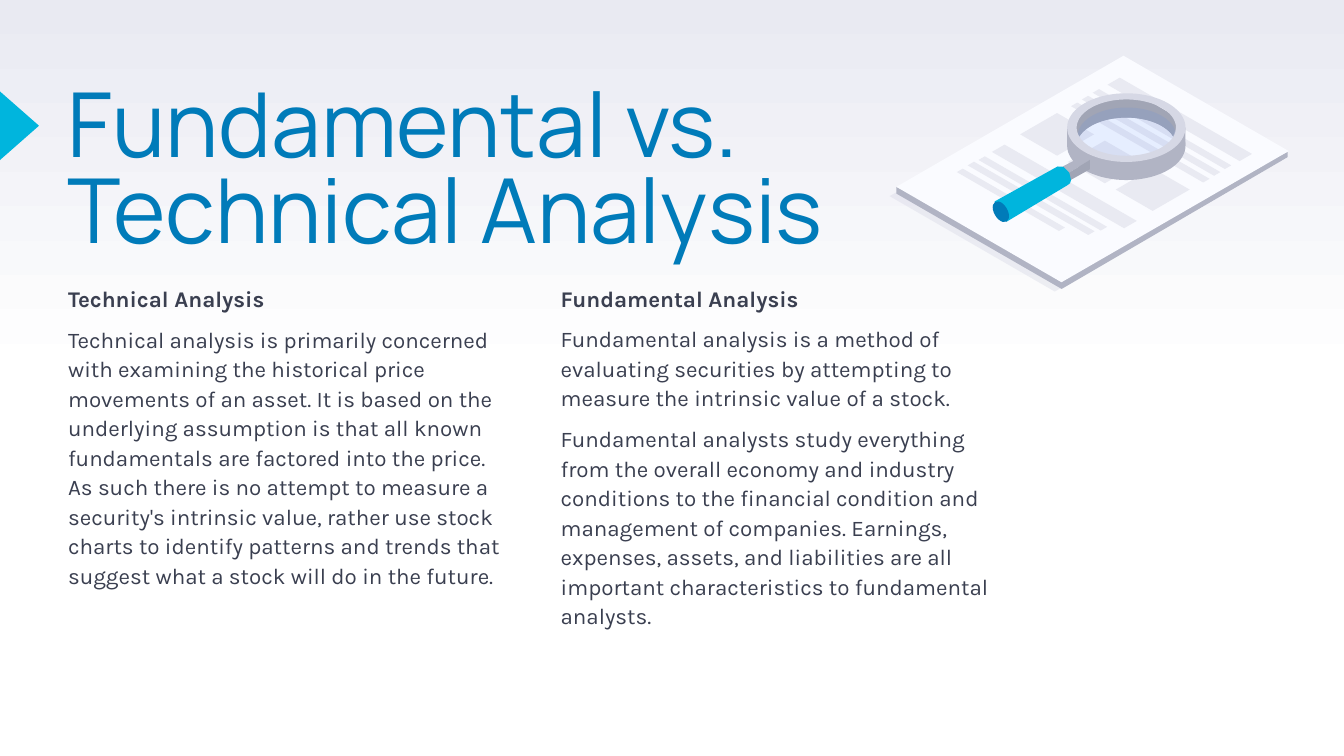
from copy import deepcopy
from dataclasses import dataclass
from math import cos, radians, sin, sqrt
from typing import Optional

from pptx import Presentation
from pptx.dml.color import RGBColor as RGB
from pptx.enum.shapes import MSO_SHAPE as Preset
from pptx.enum.text import MSO_ANCHOR as Anchor, MSO_AUTO_SIZE as AutoSize
from pptx.oxml.ns import qn
from pptx.util import Pt

Point = tuple[float, float]


@dataclass(frozen=True)
class Theme:
    title_font: str = "Manrope"
    body_font: str = "Karla"
    title_size: float = 48
    body_size: float = 12
    blue: str = "007BB9"
    cyan: str = "00B5DD"
    ink: str = "3A3F50"
    white: str = "FFFFFF"
    paper: str = "FAFBFF"
    mist: str = "E9EAF2"
    silver: str = "D6D8E5"
    grey: str = "B1B4C4"
    steel: str = "A1A5B5"
    glass: str = "3E7EFF"
    black: str = "000000"


@dataclass(frozen=True)
class IsoBlock:
    """Parallelogram from its left corner, with horizontal reach of both sides."""
    x: float
    y: float
    along: float
    across: float

    def corners(self) -> list[Point]:
        slope = 1 / sqrt(3)
        return [(self.x, self.y),
                (self.x + self.across, self.y - self.across * slope),
                (self.x + self.across + self.along,
                 self.y + (self.along - self.across) * slope),
                (self.x + self.along, self.y + self.along * slope)]


@dataclass(frozen=True)
class Ellipse:
    x: float
    y: float
    rx: float
    ry: float

    def arc(self, start: int = 0, end: int = 360) -> list[Point]:
        step = 5 if end > start else -5
        return [(self.x + self.rx * cos(radians(a)), self.y + self.ry * sin(radians(a)))
                for a in range(start, end + step, step)]


@dataclass(frozen=True)
class Column:
    left: float
    height: float
    heading: str
    paragraphs: tuple[str, ...]


THEME = Theme()
prs = Presentation()
prs.slide_width, prs.slide_height = Pt(720), Pt(405)
slide = prs.slides.add_slide(prs.slide_layouts[6])


def paint(shape, color: str, alpha: Optional[int] = None) -> None:
    shape.shadow.inherit = False
    shape.fill.solid()
    shape.fill.fore_color.rgb = RGB.from_string(color)
    shape.line.fill.background()
    if alpha is not None:
        tint = shape.fill._xPr.find(qn("a:solidFill"))[0]
        tint.makeelement(qn("a:alpha"), {})
        tint.append(tint.makeelement(qn("a:alpha"), {"val": str(alpha * 1000)}))


def draw_outline(color: str, *contours: list[Point], alpha: Optional[int] = None) -> None:
    grain = 100  # local units per point
    scaled = [[(x * grain, y * grain) for x, y in contour] for contour in contours]
    builder = slide.shapes.build_freeform(*scaled[0][0], scale=Pt(1) / grain)
    builder.add_line_segments(scaled[0][1:], close=True)
    for contour in scaled[1:]:
        builder.move_to(*contour[0])
        builder.add_line_segments(contour[1:], close=True)
    paint(builder.convert_to_shape(), color, alpha)


def draw_preset(preset, box: tuple[float, ...], color: str,
                rotation: float = 0, alpha: Optional[int] = None) -> None:
    shape = slide.shapes.add_shape(preset, *map(Pt, box))
    shape.rotation = rotation
    paint(shape, color, alpha)


def add_text(box: tuple[float, ...], paragraphs: list[tuple[str, Optional[bool]]],
             font_format: dict, color: str, paragraph_format: dict) -> None:
    frame = slide.shapes.add_textbox(*map(Pt, box)).text_frame
    frame_format = dict(word_wrap=True, auto_size=AutoSize.NONE, vertical_anchor=Anchor.TOP,
                        margin_left=0, margin_top=0, margin_right=0, margin_bottom=0)
    for key, value in frame_format.items():
        setattr(frame, key, value)
    for index, (words, bold) in enumerate(paragraphs):
        paragraph = frame.add_paragraph() if index else frame.paragraphs[0]
        for key, value in paragraph_format.items():
            setattr(paragraph, key, value)
        run = paragraph.add_run()
        run.text = words
        for key, value in {**font_format, "bold": bold}.items():
            setattr(run.font, key, value)
        run.font.color.rgb = RGB.from_string(color)


# Background: white, fading to mist in the upper half
backdrop = slide.background.fill
backdrop.gradient()
backdrop.gradient_angle = 90
stop_list = backdrop.gradient_stops[0]._gs.getparent()
stop_list.insert(1, deepcopy(stop_list[0]))
for stop, (position, color) in zip(backdrop.gradient_stops, (
        (0, THEME.white), (0.5, THEME.white), (1, THEME.mist))):
    stop.position = position
    stop.color.rgb = RGB.from_string(color)

# Title with its marker at the slide edge
draw_preset(Preset.ISOSCELES_TRIANGLE, (-7.9, 56.9, 36.7, 20.9), THEME.cyan, rotation=90)
add_text((36, 47.5, 444.2, 85), [("Fundamental vs. Technical Analysis", None)],
         dict(name=THEME.title_font, size=Pt(THEME.title_size)), THEME.blue,
         dict(line_spacing=0.8))

# Text columns
COLUMNS = (
    Column(300.4, 167.8, "Fundamental Analysis", (
        "Fundamental analysis is a method of evaluating securities by attempting to "
        "measure the intrinsic value of a stock.",
        "Fundamental analysts study everything from the overall economy and industry "
        "conditions to the financial condition and management of companies. Earnings, "
        "expenses, assets, and liabilities are all important characteristics to "
        "fundamental analysts.")),
    Column(36.5, 243.4, "Technical Analysis", (
        "Technical analysis is primarily concerned with examining the historical price "
        "movements of an asset. It is based on the underlying assumption is that all known "
        "fundamentals are factored into the price. As such there is no attempt to measure a "
        "security's intrinsic value, rather use stock charts to identify patterns and trends "
        "that suggest what a stock will do in the future.",)),
)
for column in COLUMNS:
    add_text((column.left, 151.2, 239.8, column.height),
             [(column.heading, True), *((words, False) for words in column.paragraphs)],
             dict(name=THEME.body_font, size=Pt(THEME.body_size)), THEME.ink,
             dict(line_spacing=1.1, space_before=Pt(6)))

# Document: shadow, edge and sheet
draw_outline(THEME.silver, IsoBlock(476.6, 105.1, 88.5, 121.7).corners(), alpha=40)
draw_outline(THEME.grey, [(686.9, 82.8), (601.9, 33.1), (483.1, 101.5), (480.2, 100.1),
                          (480.2, 103.7), (568.8, 154.8), (689.8, 84.2), (689.8, 81.4)])
draw_outline(THEME.paper, IsoBlock(480.2, 100.1, 88.5, 121.7).corners())

# Document: lines of print and three tiles
PRINT = [
    IsoBlock(593.3, 45.4, 70.8, 6.6),
    *(IsoBlock(585.4 - 5.8 * i, 49.7 + 3.6 * i, 70.8, 3.4) for i in range(3)),
    IsoBlock(531.4, 81.4, 70.8, 6.8),
    IsoBlock(524.2, 85.7, 65.5, 3.4),
    IsoBlock(518.4, 88.6, 64.6, 3.4),
    IsoBlock(512.6, 92.2, 54.7, 3.2),
    *(IsoBlock(546.5 + 25.6 * i, 72 + 14.8 * i, 19.8, 19.8) for i in range(3)),
]
for block in PRINT:
    draw_outline(THEME.mist, block.corners())

# Magnifier: lower ring, inner wall, sides, glass, front wall, upper ring
rim_top, hole_top = Ellipse(603.4, 68.4, 31.7, 18.4), Ellipse(603.4, 68.4, 26.6, 15.1)
rim_base, hole_base = Ellipse(603.4, 78.1, 31.7, 18.4), Ellipse(603.4, 78.1, 26.6, 15.1)
draw_outline(THEME.grey, rim_base.arc(), hole_base.arc())
draw_outline(THEME.steel, hole_base.arc(200, 340) + [
    (630, 68.4), (630, 62.6), (614.2, 53.3), (591.1, 52.6), (578.9, 59.8), (575.3, 68.4)])
draw_outline(THEME.grey, [(571.7, 77.8), (571.7, 68.4), (576.7, 76.3)])
draw_outline(THEME.grey, [(635, 77.8), (635, 68.4), (630.7, 72.7)])
draw_preset(Preset.OVAL, (577.4, 57.6, 52.6, 30.2), THEME.glass, alpha=10)
draw_outline(THEME.grey, Ellipse(602.6, 78, 28.8, 17).arc(0, 180)
             + Ellipse(602.6, 68.4, 28.8, 16.7).arc(165, 15))
draw_outline(THEME.silver, rim_top.arc(), hole_top.arc())

# Magnifier: neck, handle and end cap
CAP = (532.6, 107.3, 7.2, 12.2)
draw_preset(Preset.OVAL, CAP, THEME.black, rotation=330, alpha=10)
draw_outline(THEME.grey, [(583.9, 85.7), (571, 93.6), (566.6, 90.7), (580.3, 83.5)])
draw_outline(THEME.steel, [(583.9, 90.7), (571, 97.9), (571, 93.6), (583.9, 85.7)])
draw_outline(THEME.cyan, [(573.8, 96.5), (572.9, 92.6), (569.8, 89.4), (566.6, 89.2),
                          (532.8, 108), (539.3, 118.8), (571.7, 99.4), (573.3, 98.2)])
draw_preset(Preset.OVAL, CAP, THEME.blue, rotation=330)

prs.save("out.pptx")
